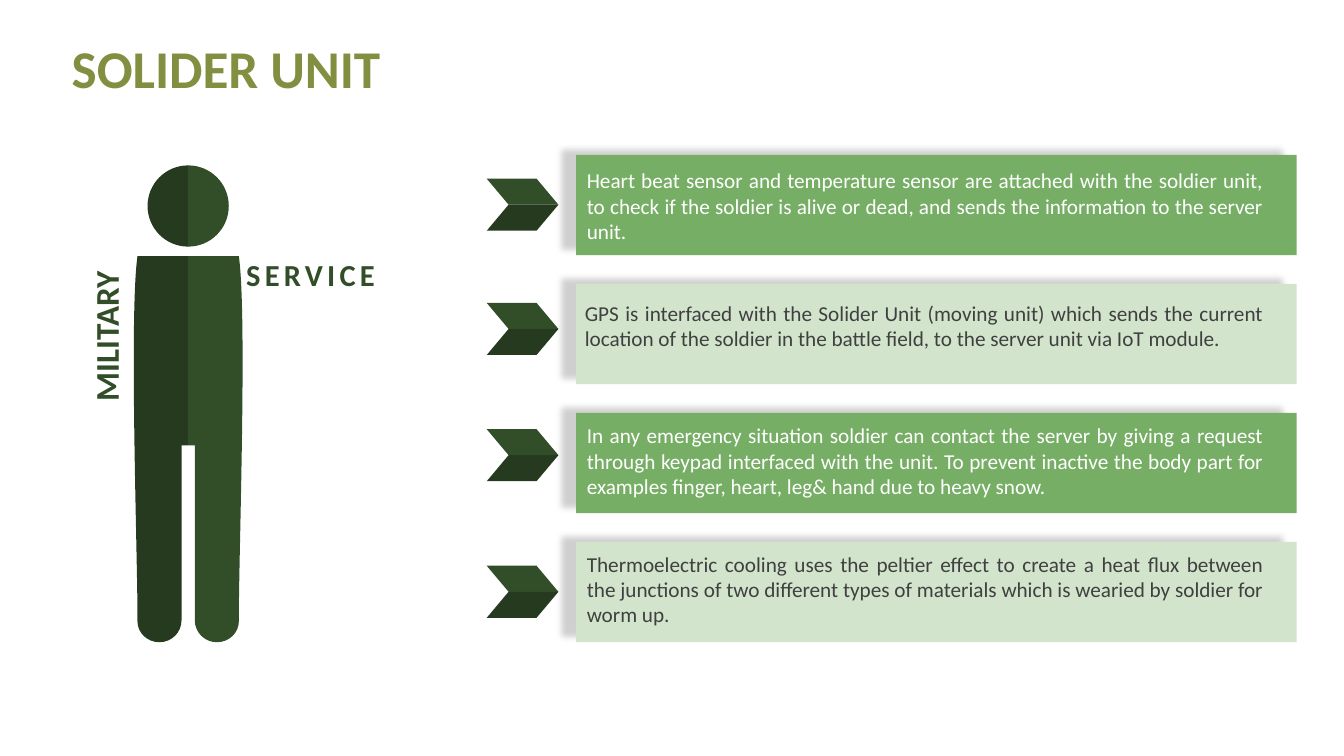
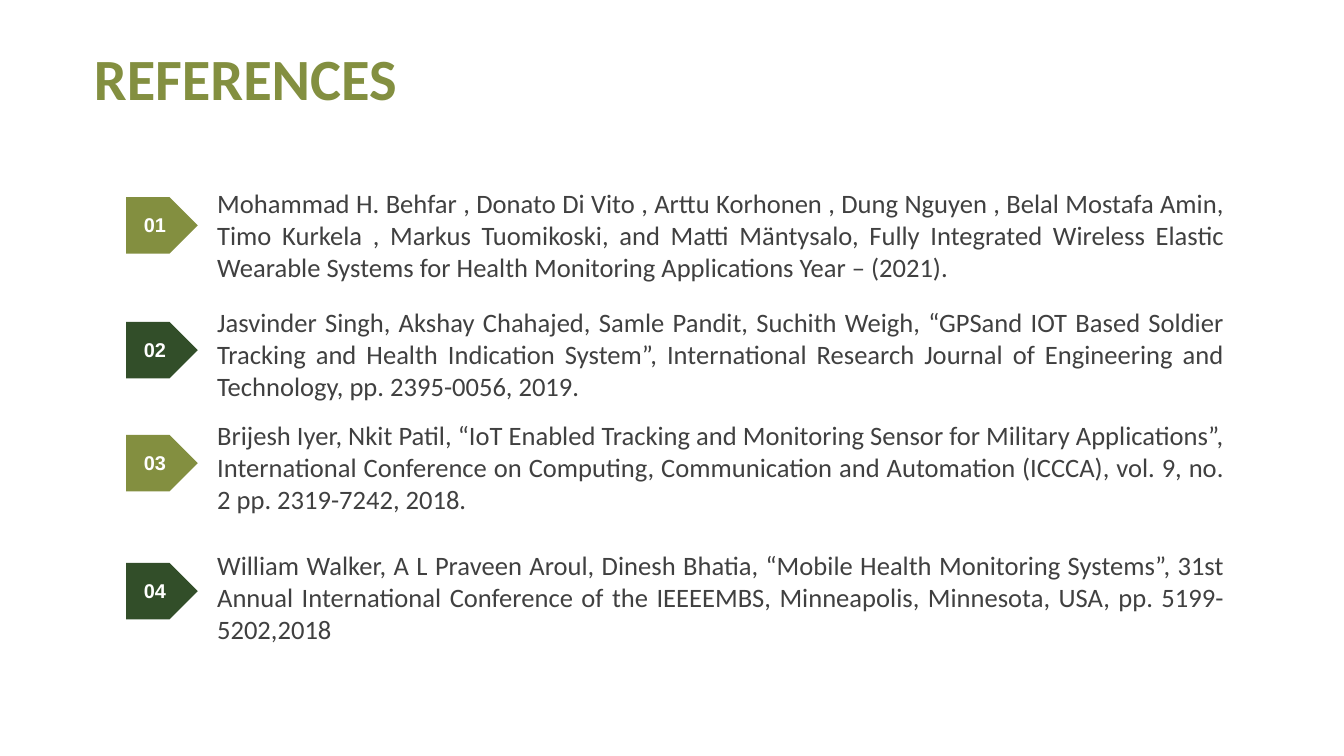
"""Build the soldier unit and references slides."""

from dataclasses import dataclass

from lxml import etree
from pptx import Presentation
from pptx import util as u
from pptx.dml.color import RGBColor
from pptx.enum import shapes, text
from pptx.oxml.ns import qn

Point = tuple[float, float]
Area = tuple[float, float, float, float]
Outline = tuple[tuple[Point, ...], ...]


@dataclass(frozen=True)
class Theme:
    olive: str = "838F40"
    forest: str = "324E29"
    shade: str = "253A1F"
    leaf: str = "77AE65"
    mist: str = "D2E4CC"
    ink: str = "404040"
    white: str = "FFFFFF"
    black: str = "000000"
    body_font: str = "Calibri"
    tag_font: str = "Arial"
    unit_title: float = 40
    references_title: float = 44
    service: float = 23
    military: float = 25
    reference: float = 20
    bar: float = 16
    tag: float = 15


THEME = Theme()


@dataclass(frozen=True)
class Bar:
    words: str
    fill: str
    ink: str
    text_area: Area
    arrow_top: float


@dataclass(frozen=True)
class Reference:
    words: str
    fill: str
    tag_top: float
    text_top: float


BARS = (
    Bar("Heart beat sensor and temperature sensor are attached with the soldier unit, to check if "
        "the soldier is alive or dead, and sends the information to the server unit.",
        THEME.leaf, THEME.white, (434.2, 122.6, 525.6, 65.5), 134.6),
    Bar("GPS is interfaced with the Solider Unit (moving unit) which sends the current location of "
        "the soldier in the battle field, to the server unit via IoT module.",
        THEME.mist, THEME.ink, (432.7, 222.5, 527, 46.8), 228.2),
    Bar("In any emergency situation soldier can contact the server by giving a request through "
        "keypad interfaced with the unit. To prevent inactive the body part for examples finger, "
        "heart, leg& hand due to heavy snow.",
        THEME.leaf, THEME.white, (434.2, 314.8, 525.6, 65.5), 323.3),
    Bar("Thermoelectric cooling uses the peltier effect to create a heat flux between the junctions "
        "of two different types of materials which is wearied by soldier for worm up.",
        THEME.mist, THEME.ink, (434.2, 411.4, 525.6, 65.5), 426.2),
)

REFERENCES = (
    Reference("Mohammad H. Behfar , Donato Di Vito , Arttu Korhonen , Dung Nguyen , Belal Mostafa "
              "Amin, Timo Kurkela , Markus Tuomikoski, and Matti Mäntysalo, Fully Integrated "
              "Wireless Elastic Wearable Systems for Health Monitoring Applications Year – (2021).",
              THEME.olive, 148.5, 137.5),
    Reference("Jasvinder Singh, Akshay Chahajed, Samle Pandit, Suchith Weigh, “GPSand IOT Based "
              "Soldier Tracking and Health Indication System”, International Research Journal of "
              "Engineering and Technology, pp. 2395-0056, 2019.",
              THEME.forest, 242.5, 227),
    Reference("Brijesh Iyer, Nkit Patil, “IoT Enabled Tracking and Monitoring Sensor for Military "
              "Applications”, International Conference on Computing, Communication and Automation "
              "(ICCCA), vol. 9, no. 2 pp. 2319-7242, 2018.",
              THEME.olive, 327.6, 311.9),
    Reference("William Walker, A L Praveen Aroul, Dinesh Bhatia, “Mobile Health Monitoring "
              "Systems”, 31st Annual International Conference of the IEEEEMBS, Minneapolis, "
              "Minnesota, USA, pp. 5199-5202,2018",
              THEME.forest, 424, 410.2),
)

BODY: Outline = (
    ((38.2, 193),),
    ((0, 193),),
    ((0, 335.5),),
    ((5, 335.5),),
    ((5, 467.3),),
    ((5, 476.6), (12.6, 483.8), (21.6, 483.8)),
    ((31, 483.8), (38.2, 476.6), (38.2, 468)),
    ((38.2, 463),),
    ((38.2, 432.3), (41, 342.6), (41, 272.9)),
    ((41, 238), (40.3, 208.1), (38.2, 193)),
)
HEAD: Outline = (
    ((0, 124.6),),
    ((0, 185.8),),
    ((16.9, 185.8), (30.6, 172.1), (30.6, 155.2)),
    ((30.6, 138.3), (16.9, 124.6), (0, 124.6)),
)


def points(area: Area) -> list[u.Length]:
    """Turn a left, top, width, height in points into lengths."""
    return [u.Pt(value) for value in area]


def paint(shape, color: str) -> None:
    """Give a shape a flat fill without line or shadow."""
    shape.shadow.inherit = False
    shape.fill.solid()
    shape.fill.fore_color.rgb = RGBColor.from_string(color)
    shape.line.fill.background()


def set_frame(frame, anchor, insets: Area = (7.2, 3.6, 7.2, 3.6)) -> None:
    """Set wrapping, anchor and left, top, right, bottom insets."""
    frame.word_wrap = True
    frame.auto_size = text.MSO_AUTO_SIZE.NONE
    frame.vertical_anchor = anchor
    (frame.margin_left, frame.margin_top,
     frame.margin_right, frame.margin_bottom) = points(insets)


def write(para, words: str, size: float, color: str, align,
          bold: bool = False, font: str = THEME.body_font):
    """Add one formatted run to a paragraph."""
    para.alignment = align
    span = para.add_run()
    span.text = words
    span.font.name = font
    span.font.size = u.Pt(size)
    span.font.bold = bold
    span.font.color.rgb = RGBColor.from_string(color)
    return span


def add_title(page, words: str, size: float, left: float, top: float) -> None:
    """Fill the title placeholder."""
    title = page.shapes.title
    title.left, title.top, title.width, title.height = points((left, top, 300, 60))
    set_frame(title.text_frame, text.MSO_ANCHOR.MIDDLE)
    para = title.text_frame.paragraphs[0]
    para.line_spacing = 0.9
    write(para, words, size, THEME.olive, text.PP_ALIGN.CENTER, bold=True)


def add_passage(page, words: str, area: Area, size: float, color: str) -> None:
    """Add a justified text box."""
    box = page.shapes.add_textbox(*points(area))
    set_frame(box.text_frame, text.MSO_ANCHOR.TOP, (7.9, 3.6, 7.9, 3.6))
    write(box.text_frame.paragraphs[0], words, size, color, text.PP_ALIGN.JUSTIFY)


def add_half_soldier(page, side: int, color: str) -> None:
    """Draw one half of the figure; side is -1 for left and 1 for right."""
    parts = [[[(u.Pt(141.8 + side * x), u.Pt(y)) for x, y in segment] for segment in outline]
             for outline in (BODY, HEAD)]
    builder = page.shapes.build_freeform(*parts[0][0][-1], scale=1.0)
    for index, part in enumerate(parts):
        if index:
            builder.move_to(*part[0][-1])
        builder.add_line_segments([segment[-1] for segment in part[1:]], close=True)
    half = builder.convert_to_shape()
    paint(half, color)
    segments = [segment for part in parts for segment in part[1:]]
    for line, segment in zip(list(half.element.iter(qn("a:lnTo"))), segments):
        if len(segment) == 3:
            bend = etree.Element(qn("a:cubicBezTo"))
            for x, y in segment:
                etree.SubElement(bend, qn("a:pt"), x=str(x - half.left), y=str(y - half.top))
            line.getparent().replace(line, bend)


def add_label(page, words: str, area: Area, size: float, align):
    """Add a bold word beside the figure and return its box and run."""
    box = page.shapes.add_textbox(*points(area))
    set_frame(box.text_frame, text.MSO_ANCHOR.MIDDLE)
    span = write(box.text_frame.paragraphs[0], words, size, THEME.forest, align, bold=True)
    return box, span


def add_arrow(page, top: float) -> None:
    """Draw a two-tone arrow from mirrored parallelograms."""
    height = 19.6
    for row, color in enumerate((THEME.forest, THEME.shade)):
        wing = page.shapes.add_shape(shapes.MSO_SHAPE.PARALLELOGRAM,
                                     *points((366.7, top + row * height, 54, height)))
        wing.adjustments[0] = 0.84
        paint(wing, color)
        if row == 0:
            wing.element.spPr.find(qn("a:xfrm")).set("flipH", "1")


def cast_shadow(shape) -> None:
    """Cast a soft shadow up and to the left."""
    effects = shape.element.spPr.find(qn("a:effectLst"))
    shadow = etree.SubElement(effects, qn("a:outerShdw"), blurRad=str(u.Pt(5)),
                              dist=str(u.Pt(12)), dir=str(202 * 60000), rotWithShape="0")
    color = etree.SubElement(shadow, qn("a:srgbClr"), val=THEME.black)
    etree.SubElement(color, qn("a:alpha"), val="18000")


def add_bar(page, bar: Bar, top: float) -> None:
    """Draw a text bar with its arrow."""
    add_arrow(page, bar.arrow_top)
    panel = page.shapes.add_shape(shapes.MSO_SHAPE.RECTANGLE, *points((434, top, 542.9, 75.6)))
    paint(panel, bar.fill)
    cast_shadow(panel)
    add_passage(page, bar.words, bar.text_area, THEME.bar, bar.ink)


def add_reference(page, number: int, reference: Reference) -> None:
    """Draw a numbered pentagon and its reference."""
    tag = page.shapes.add_shape(shapes.MSO_SHAPE.PENTAGON,
                                *points((95, reference.tag_top, 54, 42.5)))
    paint(tag, reference.fill)
    set_frame(tag.text_frame, text.MSO_ANCHOR.MIDDLE, (0, 0, 0, 1))
    write(tag.text_frame.paragraphs[0], f"{number:02}", THEME.tag, THEME.white,
          text.PP_ALIGN.CENTER, bold=True, font=THEME.tag_font)
    add_passage(page, reference.words, (155.7, reference.text_top, 774.7, 80.6),
                THEME.reference, THEME.ink)


def add_unit_page(deck) -> None:
    """Build the soldier unit slide."""
    page = deck.slides.add_slide(deck.slide_layouts[5])
    add_title(page, "SOLIDER UNIT", THEME.unit_title, 20.3, 24)
    add_half_soldier(page, -1, THEME.shade)
    add_half_soldier(page, 1, THEME.forest)
    _, span = add_label(page, "SERVICE", (178.3, 188.6, 159, 36), THEME.service,
                        text.PP_ALIGN.LEFT)
    span.font._element.set("spc", "320")
    box, _ = add_label(page, "MILITARY", (0, 257.8, 159, 38), THEME.military,
                       text.PP_ALIGN.RIGHT)
    box.rotation = 270
    for row, bar in enumerate(BARS):
        add_bar(page, bar, 116.6 + row * 97.2)


def add_references_page(deck) -> None:
    """Build the references slide."""
    page = deck.slides.add_slide(deck.slide_layouts[5])
    add_title(page, "REFERENCES", THEME.references_title, 35, 31.5)
    for number, reference in enumerate(REFERENCES, start=1):
        add_reference(page, number, reference)


def main() -> None:
    """Build and save the deck."""
    deck = Presentation()
    deck.slide_width, deck.slide_height = u.Pt(1012.5), u.Pt(569.5)
    add_unit_page(deck)
    add_references_page(deck)
    deck.save("out.pptx")


if __name__ == "__main__":
    main()
